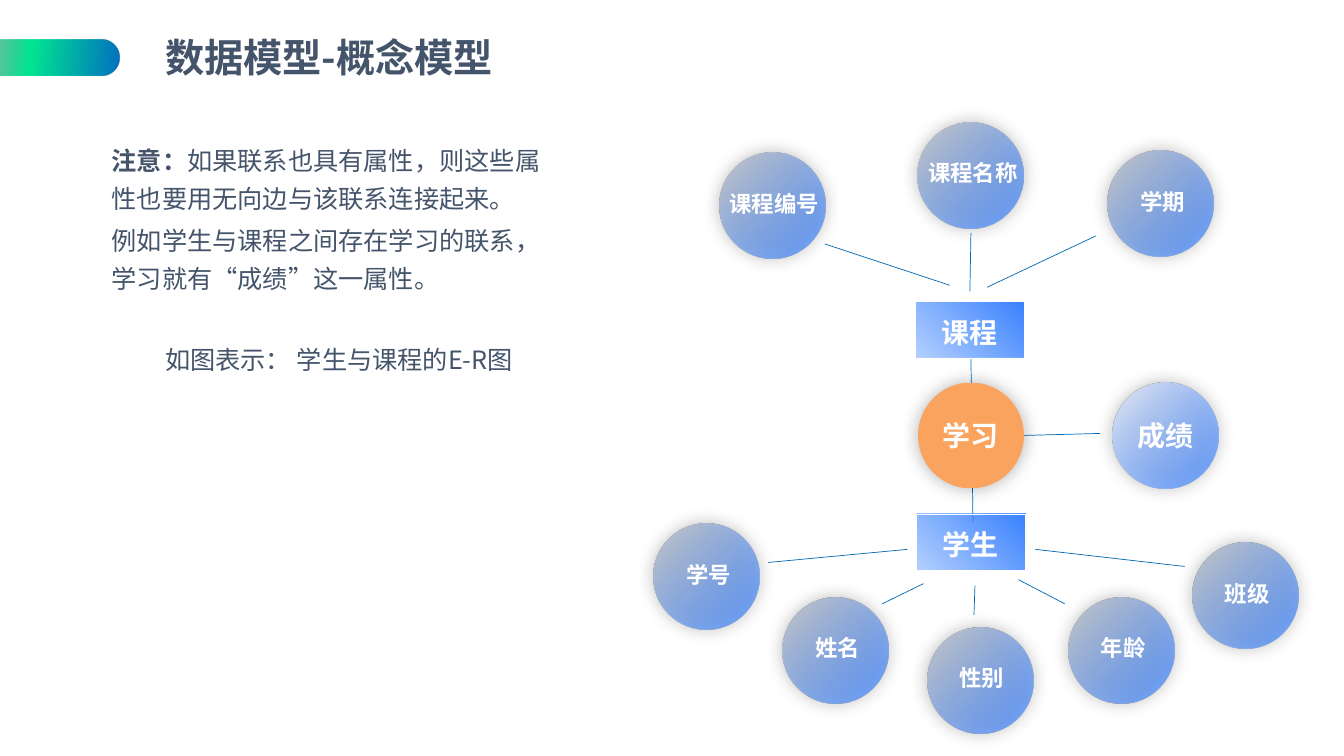
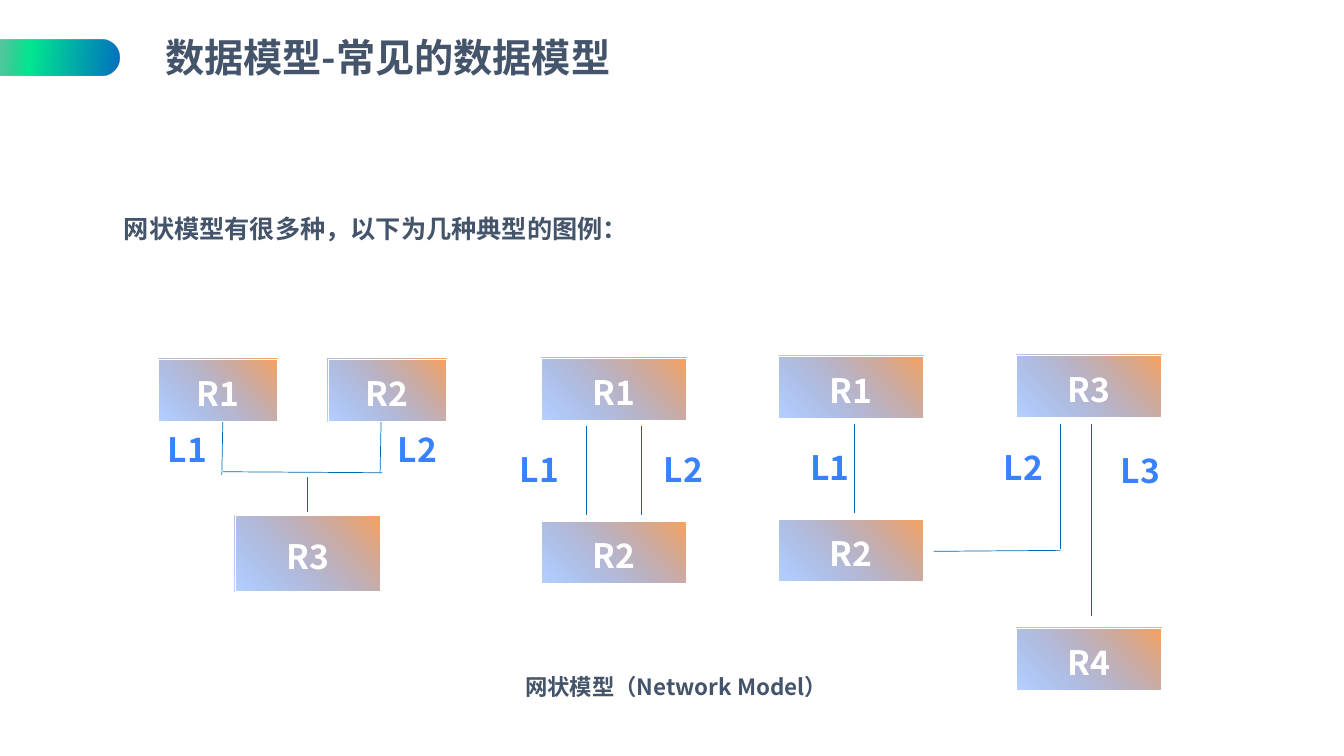
import pptx
import pptx.util
import pptx.dml.color
import pptx.enum.shapes
import pptx.enum.text
import pptx.oxml.ns
from lxml import etree

Inches, Pt = pptx.util.Inches, pptx.util.Pt
rgb = pptx.dml.color.RGBColor.from_string
qn = pptx.oxml.ns.qn
SHAPE = pptx.enum.shapes.MSO_SHAPE
ALIGN = pptx.enum.text.PP_ALIGN
ANCHOR = pptx.enum.text.MSO_ANCHOR

FONT = "Noto Sans CJK SC"
INK, WHITE, BLUE, ORANGE, LINE = "44546A", "FFFFFF", "3982FF", "FAA35E", "0069B5"


def paint(shape, stops, angle):
    """Fill with gradient stops of (position %, colour, opacity %)."""
    shape.fill.background()
    grad = etree.Element(qn("a:gradFill"), rotWithShape="1")
    gs_list = etree.SubElement(grad, qn("a:gsLst"))
    for pos, colour, opacity in stops:
        gs = etree.SubElement(gs_list, qn("a:gs"), pos=str(pos * 1000))
        clr = etree.SubElement(gs, qn("a:srgbClr"), val=colour)
        etree.SubElement(clr, qn("a:alpha"), val=str(opacity * 1000))
    etree.SubElement(grad, qn("a:lin"), ang=str(angle * 60000), scaled="0")
    spPr = shape._element.spPr
    spPr.replace(spPr.find(qn("a:noFill")), grad)


def style(p, size, colour, bold=False, align=ALIGN.LEFT):
    p.alignment = align
    p.font.size, p.font.bold, p.font.name = Pt(size), bold, FONT
    p.font.color.rgb = rgb(colour)
    latin = p.font._element.find(qn("a:latin"))
    latin.addnext(etree.Element(qn("a:ea"), typeface=FONT))


# Node kinds: shape, width, height, text size, gradient stops, gradient angle
GREY_BLUE = [(1, "C5C5C5", 100), (100, BLUE, 73)]
PALE_BLUE = [(1, "E6E8F1", 100), (100, BLUE, 73)]
FLAT_ORANGE = [(0, ORANGE, 100), (100, ORANGE, 100)]
BLUE_FADE = [(0, BLUE, 100), (99, BLUE, 37)]
ORANGE_FADE = [(0, ORANGE, 100), (99, BLUE, 37)]
KINDS = {
    "attribute": (SHAPE.OVAL, 1.05, 1.05, 16, GREY_BLUE, 45),
    "grade": (SHAPE.OVAL, 1.05, 1.05, 20, PALE_BLUE, 45),
    "relation": (SHAPE.OVAL, 1.05, 1.05, 20, FLAT_ORANGE, 45),
    "entity": (SHAPE.RECTANGLE, 1.08, 0.56, 20, BLUE_FADE, 135),
    "small": (SHAPE.RECTANGLE, 1.18, 0.62, 24, ORANGE_FADE, 135),
    "wide": (SHAPE.RECTANGLE, 1.44, 0.62, 24, ORANGE_FADE, 135),
    "tall": (SHAPE.RECTANGLE, 1.44, 0.75, 24, ORANGE_FADE, 135),
}

# Lines are (x1, y1, x2, y2); nodes are (text, kind, centre x, centre y);
# texts are (x, y, w, h, size, bold, text); labels are (text, centre x, top)
SLIDES = [
    {
        "title": "数据模型-概念模型",
        "lines": [
            (9.63, 3.55, 9.65, 5.18), (10.16, 4.32, 10.91, 4.3),
            (8.18, 2.42, 9.42, 2.83), (9.63, 2.31, 9.62, 2.89),
            (10.87, 2.34, 9.79, 2.85), (7.62, 5.58, 9, 5.45),
            (8.75, 5.99, 9.16, 5.79), (9.66, 6.1, 9.67, 5.81),
            (10.56, 5.99, 10.1, 5.75), (10.27, 5.45, 11.75, 5.62),
        ],
        "nodes": [
            ("课程", "entity", 9.62, 3.27), ("学习", "relation", 9.63, 4.32),
            ("学生", "entity", 9.63, 5.38), ("成绩", "grade", 11.56, 4.32),
            ("课程编号", "attribute", 7.66, 2.04),
            ("课程名称", "attribute", 9.63, 1.74),
            ("学期", "attribute", 11.51, 2.02), ("学号", "attribute", 7.01, 5.72),
            ("姓名", "attribute", 8.29, 6.45), ("性别", "attribute", 9.72, 6.75),
            ("年龄", "attribute", 11.12, 6.45), ("班级", "attribute", 12.35, 5.91),
        ],
        "texts": [(1.54, 3.37, 4.5, 0.4, 18, False, "如图表示： 学生与课程的E-R图")],
        "labels": [],
    },
    {
        "title": "数据模型-常见的数据模型",
        "lines": [
            (2.21, 4.18, 2.2, 4.71), (3.78, 4.17, 3.77, 4.69),
            (3.79, 4.69, 2.21, 4.68), (3.05, 4.73, 3.05, 5.08),
            (5.82, 4.23, 5.82, 5.11), (6.36, 4.23, 6.36, 5.11),
            (8.47, 4.21, 8.47, 5.09), (10.82, 4.21, 10.82, 6.11),
            (10.52, 4.21, 10.52, 5.45), (9.26, 5.47, 10.52, 5.46),
        ],
        "nodes": [
            ("R1", "small", 2.16, 3.87), ("R2", "small", 3.84, 3.87),
            ("R3", "tall", 3.05, 5.49),
            ("R1", "wide", 6.09, 3.86), ("R2", "wide", 6.09, 5.48),
            ("R1", "wide", 8.44, 3.84), ("R2", "wide", 8.44, 5.46),
            ("R3", "wide", 10.8, 3.83), ("R4", "wide", 10.8, 6.54),
        ],
        "texts": [
            (1.13, 2.07, 10.49, 0.4, 18, True, "网状模型有很多种，以下为几种典型的图例："),
            (5.11, 6.63, 5.23, 0.37, 16, True, "网状模型（Network Model）"),
        ],
        "labels": [
            ("L1", 1.86, 4.21), ("L2", 4.14, 4.21), ("L1", 5.35, 4.4),
            ("L2", 6.78, 4.4), ("L1", 8.23, 4.38), ("L2", 10.15, 4.38),
            ("L3", 11.31, 4.41),
        ],
    },
]

prs = pptx.Presentation()
prs.slide_width, prs.slide_height = Inches(13.33), Inches(7.5)

for content in SLIDES:
    s = prs.slides.add_slide(prs.slide_layouts[6])

    # Header band and title
    band = s.shapes.add_shape(SHAPE.ROUNDED_RECTANGLE, Inches(-0.68), Inches(0.39),
                              Inches(1.86), Inches(0.36))
    band.adjustments[0] = 0.5
    band.shadow.inherit = False
    band.line.fill.background()
    paint(band, [(0, "272D3D", 0), (52, "03E790", 100), (100, "0070C0", 100)], 5)
    tf = s.shapes.add_textbox(Inches(1.54), Inches(0.33), Inches(9.17), Inches(0.52)).text_frame
    tf.word_wrap, tf.vertical_anchor = True, ANCHOR.MIDDLE
    p = tf.paragraphs[0]
    p.text, p.line_spacing = content["title"], 0.9
    style(p, 28, INK, True)

    # Connecting lines
    for ends in content["lines"]:
        line = s.shapes.add_connector(pptx.enum.shapes.MSO_CONNECTOR.STRAIGHT,
                                      *[Inches(v) for v in ends])
        line.line.color.rgb, line.line.width = rgb(LINE), Pt(0.5)
        etree.SubElement(line._element.spPr, qn("a:effectLst"))

    # Diagram nodes
    for text, kind, cx, cy in content["nodes"]:
        preset, w, h, size, stops, angle = KINDS[kind]
        sp = s.shapes.add_shape(preset, Inches(cx - w / 2), Inches(cy - h / 2),
                                Inches(w), Inches(h))
        sp.shadow.inherit = False
        paint(sp, stops, angle)
        tf = sp.text_frame
        tf.word_wrap, tf.vertical_anchor = False, ANCHOR.MIDDLE
        tf.margin_left = tf.margin_right = tf.margin_top = tf.margin_bottom = 0
        if preset == SHAPE.OVAL:
            sp.line.fill.background()
            glow = etree.SubElement(sp._element.spPr.find(qn("a:effectLst")), qn("a:outerShdw"),
                                    blurRad=str(Pt(13)), dist="0", dir="0", algn="ctr")
            clr = etree.SubElement(glow, qn("a:srgbClr"), val="000000")
            etree.SubElement(clr, qn("a:alpha"), val="30000")
        else:
            sp.line.color.rgb, sp.line.width = rgb(WHITE), Pt(0.25)
            tf.margin_top = Inches(0.05)
        if kind == "attribute":
            tf.margin_left, tf.margin_bottom = Inches(0.04), Inches(0.05)
        p = tf.paragraphs[0]
        p.text = text
        style(p, size, WHITE, True, ALIGN.CENTER)

    # Single-line texts
    for x, y, w, h, size, bold, text in content["texts"]:
        tf = s.shapes.add_textbox(Inches(x), Inches(y), Inches(w), Inches(h)).text_frame
        tf.word_wrap = True
        p = tf.paragraphs[0]
        p.text = text
        style(p, size, INK, bold)

    # Link labels
    for text, cx, y in content["labels"]:
        tf = s.shapes.add_textbox(Inches(cx - 0.6), Inches(y), Inches(1.2), Inches(0.5)).text_frame
        tf.word_wrap = True
        p = tf.paragraphs[0]
        p.text = text
        style(p, 24, BLUE, True, ALIGN.CENTER)

# Explanation on the first slide
tf = prs.slides[0].shapes.add_textbox(Inches(1.01), Inches(1.32), Inches(4.64),
                                      Inches(2)).text_frame
tf.word_wrap = True
p = tf.paragraphs[0]
r = p.add_run()
r.text, r.font.bold = "注意：", True
p.add_run().text = "如果联系也具有属性，则这些属性也要用无向边与该联系连接起来。"
p = tf.add_paragraph()
p.text = "例如学生与课程之间存在学习的联系，学习就有“成绩”这一属性。"
p.space_before = Pt(3)
for p in tf.paragraphs:
    p.line_spacing = 1.25
    style(p, 18, INK)

prs.save("out.pptx")
